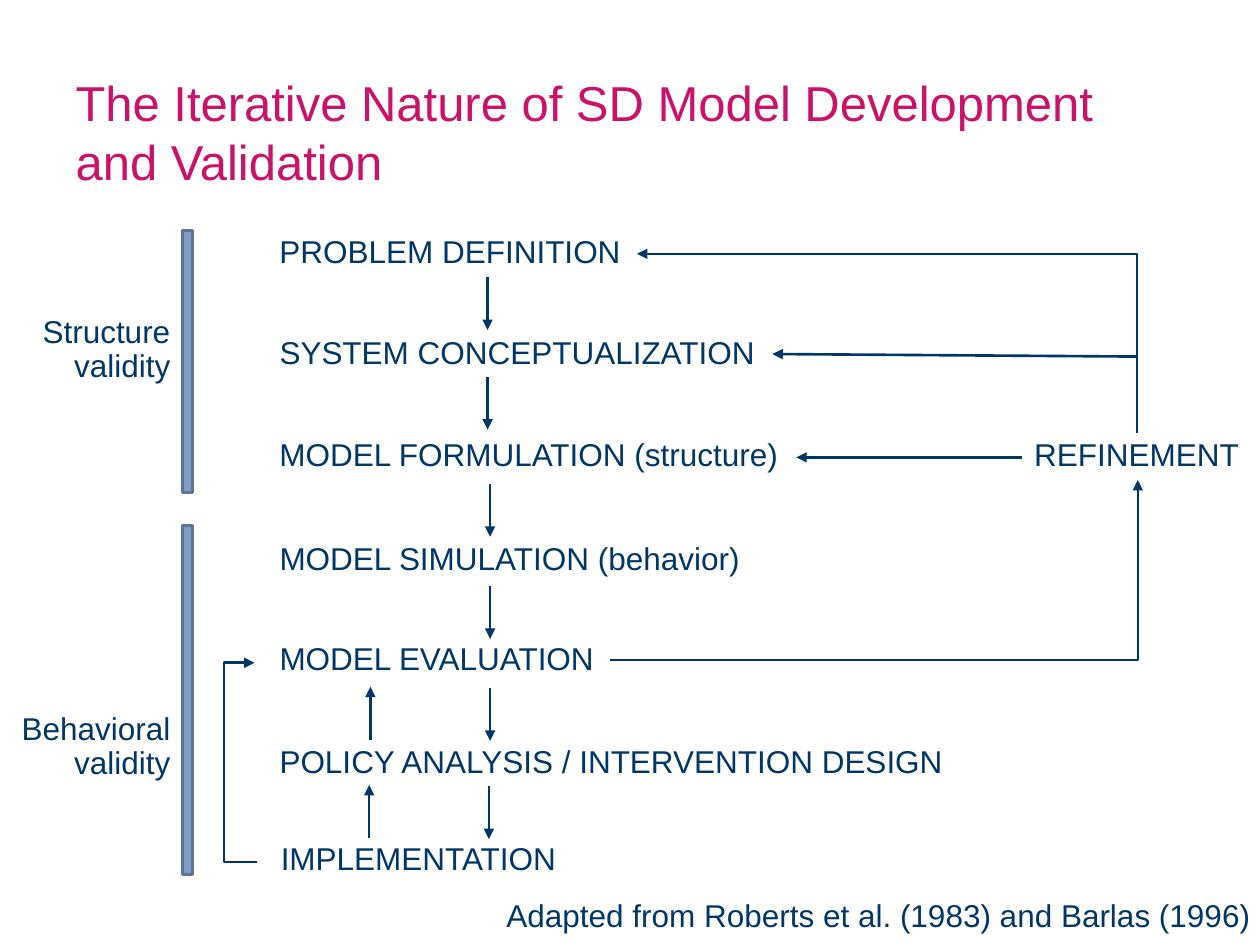
from lxml import etree
from pptx import Presentation
from pptx.dml.color import RGBColor
from pptx.enum.shapes import MSO_CONNECTOR, MSO_SHAPE
from pptx.enum.text import MSO_ANCHOR, MSO_AUTO_SIZE, PP_ALIGN
from pptx.oxml.ns import qn
from pptx.util import Inches, Pt

STRAIGHT, ELBOW = MSO_CONNECTOR.STRAIGHT, MSO_CONNECTOR.ELBOW
LEFT, RIGHT = PP_ALIGN.LEFT, PP_ALIGN.RIGHT
NAVY, PINK, BAR_FILL, BAR_LINE = "013668", "CA126A", "809BC6", "5F7392"

TITLE = "The Iterative Nature of SD Model Development and Validation"
STEPS = [
    ("PROBLEM DEFINITION", 2.12, 1.83, 2.94),
    ("SYSTEM CONCEPTUALIZATION", 2.12, 2.63, 4.01),
    ("MODEL FORMULATION (structure)", 2.12, 3.44, 4.2),
    ("MODEL SIMULATION (behavior)", 2.12, 4.26, 3.89),
    ("MODEL EVALUATION", 2.12, 5.06, 2.72),
    ("POLICY ANALYSIS / INTERVENTION DESIGN", 2.12, 5.87, 5.52),
    ("IMPLEMENTATION", 2.13, 6.64, 2.41),
    ("REFINEMENT", 8.11, 3.44, 1.84),
]
CREDIT = ("Adapted from Roberts et al. (1983) and Barlas (1996)", 3.92, 7.1, 6.75)
PHASES = [
    ("Structure validity", 2.46, 1.83, 2.08),
    ("Behavioral validity", 5.61, 4.17, 2.77),
]
ARROW_LENGTH = 0.42
DOWN_ARROWS = [(3.87, 2.2), (3.87, 2.99), (3.89, 3.84), (3.89, 4.65), (3.89, 5.46), (3.88, 6.24)]
UP_ARROWS = [(2.94, 5.45), (2.93, 6.23)]
REFINEMENT_ARROWS = [(8.11, 3.63, 6.32, 3.63), (9.03, 2.83, 6.13, 2.81)]
BENT_ARROWS = [
    dict(box=(4.84, 3.81, 4.19, 1.43), preset="bentConnector2", turn=0, flip=True),
    dict(box=(6.33, 0.74, 1.42, 3.97), preset="bentConnector2", turn=270, flip=True),
    dict(box=(2.02, 5.26, 0.02, 1.58), preset="bentConnector3", turn=180, flip=False, bend=1300000),
]


def color(value):
    return RGBColor.from_string(value)


def style_text(paragraph, size, text_color, align=LEFT):
    paragraph.alignment = align
    paragraph.font.name = "Arial"
    paragraph.font.size = Pt(size)
    paragraph.font.color.rgb = color(text_color)


def add_label(slide, text, left, top, width, height=0.37, wrap=False, align=LEFT):
    box = slide.shapes.add_textbox(*map(Inches, (left, top, width, height)))
    frame = box.text_frame
    frame.word_wrap = wrap
    frame.auto_size = MSO_AUTO_SIZE.SHAPE_TO_FIT_TEXT
    paragraph = frame.paragraphs[0]
    paragraph.text = text
    paragraph.line_spacing = 0.9
    style_text(paragraph, 18, NAVY, align)


def add_arrow(slide, x1, y1, x2, y2, kind=STRAIGHT):
    arrow = slide.shapes.add_connector(kind, *map(Inches, (x1, y1, x2, y2)))
    arrow.line.color.rgb = color(NAVY)
    arrow.line.width = Pt(1.5)
    etree.SubElement(arrow.line._get_or_add_ln(), qn("a:tailEnd"), type="triangle")
    etree.SubElement(arrow._element.spPr, qn("a:effectLst"))
    return arrow


def add_bent_arrow(slide, box, preset, turn, flip, bend=None):
    left, top, width, height = box
    arrow = add_arrow(slide, left, top, left + width, top + height, ELBOW)
    properties = arrow._element.spPr
    transform = properties.find(qn("a:xfrm"))
    transform.set("rot", str(turn * 60000))
    transform.set("flipV", str(int(flip)))
    geometry = properties.find(qn("a:prstGeom"))
    geometry.set("prst", preset)
    if bend:
        adjustments = geometry.find(qn("a:avLst"))
        etree.SubElement(adjustments, qn("a:gd"), name="adj1", fmla=f"val {bend}")


def add_phase(slide, text, text_top, bar_top, bar_height):
    add_label(slide, text, 0.03, text_top, 1.42, 0.65, True, RIGHT)
    bar = slide.shapes.add_shape(
        MSO_SHAPE.RECTANGLE, *map(Inches, (1.45, bar_top, 0.08, bar_height)))
    bar.shadow.inherit = False
    bar.fill.solid()
    bar.fill.fore_color.rgb = color(BAR_FILL)
    bar.line.color.rgb = color(BAR_LINE)
    bar.line.width = Pt(2)


def main():
    """Build the model development and validation slide."""
    presentation = Presentation()
    presentation.slide_width, presentation.slide_height = Inches(10), Inches(7.5)
    slide = presentation.slides.add_slide(presentation.slide_layouts[5])

    title = slide.shapes.title
    title.left, title.top, title.width, title.height = map(Inches, (0.5, 0.42, 9, 1.25))
    title.text_frame.text = TITLE
    title.text_frame.vertical_anchor = MSO_ANCHOR.MIDDLE
    style_text(title.text_frame.paragraphs[0], 28, PINK)

    for step in STEPS:
        add_label(slide, *step)
    add_label(slide, *CREDIT, wrap=True)
    for x, top in DOWN_ARROWS:
        add_arrow(slide, x, top, x, top + ARROW_LENGTH)
    for x, top in UP_ARROWS:
        add_arrow(slide, x, top + ARROW_LENGTH, x, top)
    for ends in REFINEMENT_ARROWS:
        add_arrow(slide, *ends)
    for bent in BENT_ARROWS:
        add_bent_arrow(slide, **bent)
    for phase in PHASES:
        add_phase(slide, *phase)

    presentation.save("out.pptx")


if __name__ == "__main__":
    main()
